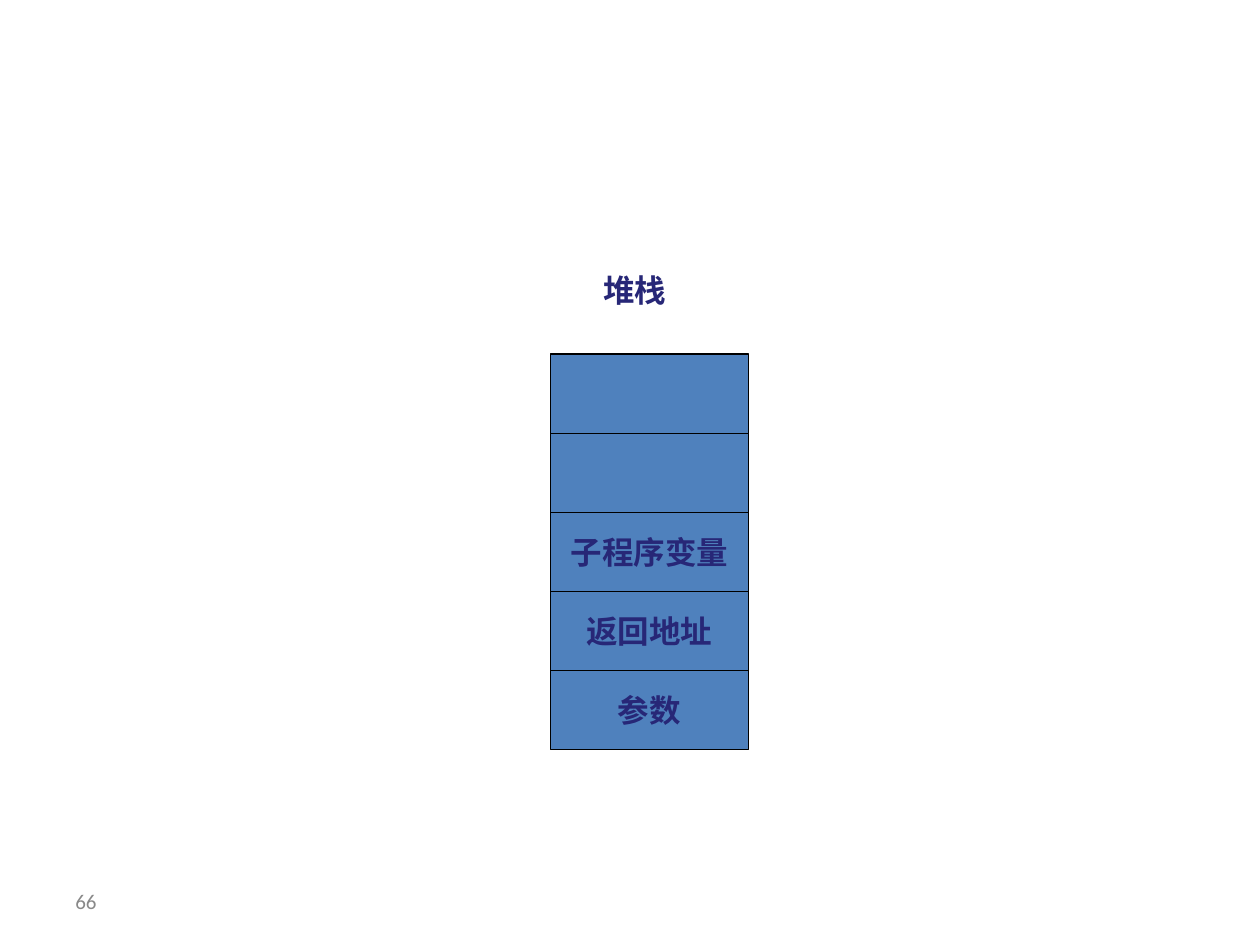
from dataclasses import dataclass

from pptx import Presentation
from pptx.dml.color import RGBColor
from pptx.enum.shapes import MSO_SHAPE
from pptx.enum.text import MSO_ANCHOR, PP_ALIGN
from pptx.slide import Slide
from pptx.text.text import TextFrame
from pptx.util import Inches, Pt

RECTANGLE = MSO_SHAPE.RECTANGLE
TOP, MIDDLE = MSO_ANCHOR.TOP, MSO_ANCHOR.MIDDLE
LEFT, CENTER = PP_ALIGN.LEFT, PP_ALIGN.CENTER
BLANK_LAYOUT = 6


@dataclass(frozen=True)
class TextStyle:
    font: str
    size: float
    color: RGBColor
    bold: bool = False


@dataclass(frozen=True)
class Theme:
    cell_fill: RGBColor = RGBColor(0x4F, 0x81, 0xBD)
    cell_line: RGBColor = RGBColor(0, 0, 0)
    line_width: float = 0.75
    label: TextStyle = TextStyle("Times New Roman", 18, RGBColor(0x27, 0x27, 0x77), True)
    page_number: TextStyle = TextStyle("Calibri", 12, RGBColor(0x89, 0x89, 0x89))


@dataclass(frozen=True)
class Box:
    left: float
    top: float
    width: float
    height: float

    def lengths(self) -> tuple[int, int, int, int]:
        return Inches(self.left), Inches(self.top), Inches(self.width), Inches(self.height)


THEME = Theme()
STACK_TOP_CELL = Box(4.37, 2.81, 1.57, 0.63)
STACK_BOTTOM = 5.95
STACK_CELLS = ("", "", "子程序变量", "返回地址", "参数")


def write_text(frame: TextFrame, text: str, style: TextStyle, alignment: PP_ALIGN,
               anchor: MSO_ANCHOR, wrap: bool) -> None:
    frame.word_wrap = wrap
    frame.vertical_anchor = anchor
    paragraph = frame.paragraphs[0]
    paragraph.text = text
    paragraph.alignment = alignment
    paragraph.font.name = style.font
    paragraph.font.size = Pt(style.size)
    paragraph.font.bold = style.bold
    paragraph.font.color.rgb = style.color


def add_label(slide: Slide, box: Box, text: str, style: TextStyle, anchor: MSO_ANCHOR) -> None:
    shape = slide.shapes.add_textbox(*box.lengths())
    write_text(shape.text_frame, text, style, LEFT, anchor, wrap=True)


def add_stack_cell(slide: Slide, box: Box, text: str) -> None:
    shape = slide.shapes.add_shape(RECTANGLE, *box.lengths())
    shape.shadow.inherit = False
    shape.fill.solid()
    shape.fill.fore_color.rgb = THEME.cell_fill
    shape.line.color.rgb = THEME.cell_line
    shape.line.width = Pt(THEME.line_width)
    if text:
        write_text(shape.text_frame, text, THEME.label, CENTER, MIDDLE, wrap=False)


def add_stack(slide: Slide) -> None:
    """Draw the cells from top to bottom at an equal pitch."""
    first = STACK_TOP_CELL
    pitch = (STACK_BOTTOM - first.top) / len(STACK_CELLS)
    for row, text in enumerate(STACK_CELLS):
        box = Box(first.left, first.top + row * pitch, first.width, first.height)
        add_stack_cell(slide, box, text)


def main() -> None:
    presentation = Presentation()
    presentation.slide_width = Inches(10)
    presentation.slide_height = Inches(7.5)
    slide = presentation.slides.add_slide(presentation.slide_layouts[BLANK_LAYOUT])
    add_label(slide, Box(0.5, 6.95, 2.33, 0.4), "66", THEME.page_number, MIDDLE)
    add_stack(slide)
    add_label(slide, Box(4.69, 2.1, 2.44, 0.4), "堆栈", THEME.label, TOP)
    presentation.save("out.pptx")


if __name__ == "__main__":
    main()
